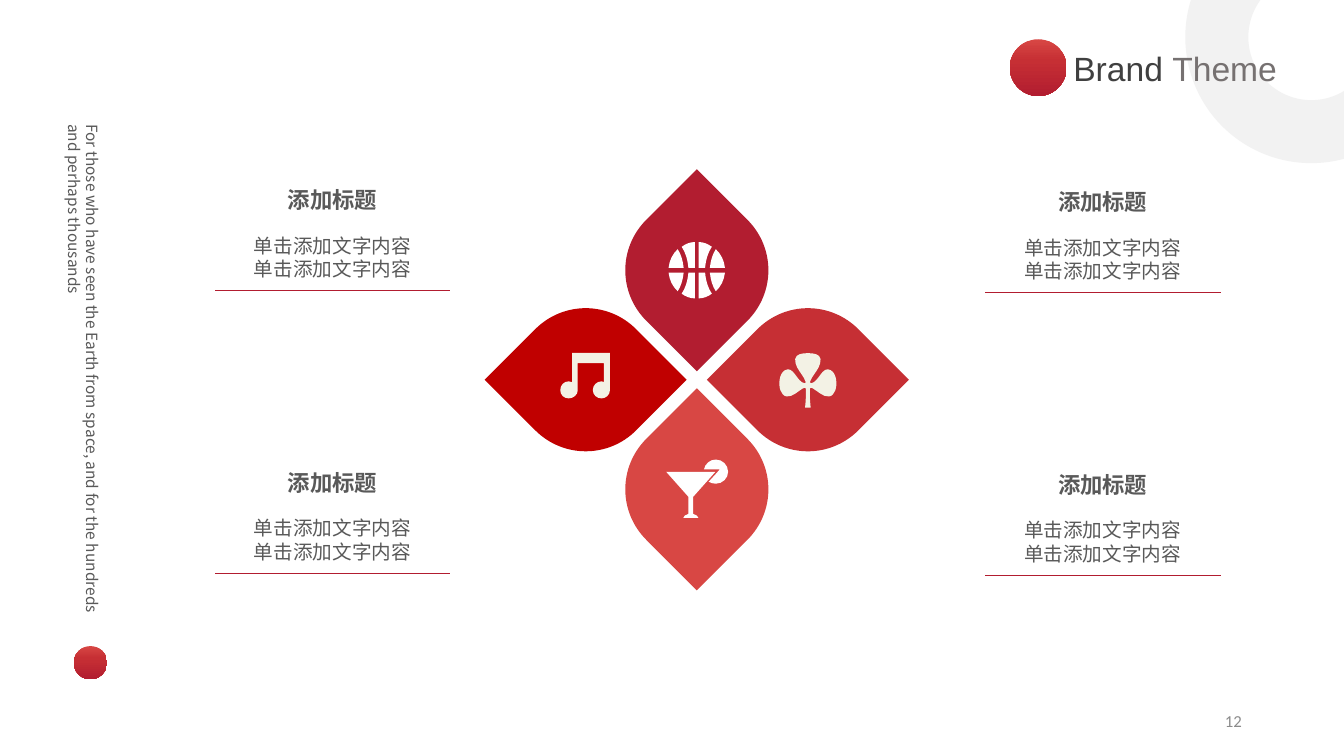
from copy import deepcopy
from itertools import product

from lxml.etree import SubElement
from pptx import Presentation
from pptx.dml.color import RGBColor
from pptx.enum.shapes import MSO_CONNECTOR as CONNECTOR, MSO_SHAPE as SHAPE
from pptx.enum.text import MSO_ANCHOR as ANCHOR, PP_ALIGN as ALIGN
from pptx.oxml.ns import qn
from pptx.util import Cm, Pt

CRIMSON = RGBColor(0xB2, 0x1D, 0x30)
RED = RGBColor(0xC6, 0x2F, 0x34)
DEEP_RED = RGBColor(0xC0, 0x00, 0x00)
CORAL = RGBColor(0xD8, 0x47, 0x44)
WHITE = RGBColor(0xFF, 0xFF, 0xFF)
IVORY = RGBColor(0xF3, 0xF2, 0xE5)
PALE_GRAY = RGBColor(0xF2, 0xF2, 0xF2)
GRAY = RGBColor(0x59, 0x59, 0x59)
PAGE_GRAY = RGBColor(0x8C, 0x8C, 0x8C)
DARK_GRAY = RGBColor(0x40, 0x40, 0x40)
WARM_GRAY = RGBColor(0x76, 0x71, 0x71)
CJK_FONT = "Noto Sans CJK SC"

CENTER_X, CENTER_Y = 17.56, 9.57
REACH_X, REACH_Y = 2.8, 2.76

PETAL = [(1.8, -1.8), (1.8, 0), (1.8, 1, 1, 1.8, 0, 1.8), (-1.8, 1.8), (-1.8, 0),
         (-1.8, -1, -1, -1.8, 0, -1.8)]
BALL_PANELS = [
    [(0.05, -0.71), (0.05, -0.06), (0.21, -0.06), (0.23, -0.28, 0.29, -0.46, 0.38, -0.59),
     (0.29, -0.66, 0.17, -0.71, 0.05, -0.71)],
    [(0.48, -0.53), (0.4, -0.41, 0.35, -0.25, 0.33, -0.06), (0.71, -0.06),
     (0.69, -0.25, 0.61, -0.41, 0.48, -0.53)],
]
CLOVER_HALF = [
    (0, -0.67), (0.15, -0.67, 0.3, -0.65, 0.32, -0.52), (0.33, -0.37, 0.23, -0.24, 0.16, -0.14),
    (0.12, -0.09, 0.08, -0.01, 0.06, 0.04), (0.05, 0.06, 0.06, 0.09, 0.08, 0.09),
    (0.28, 0.06, 0.36, -0.37, 0.58, -0.24), (0.74, -0.14, 0.74, 0.14, 0.69, 0.27),
    (0.66, 0.34, 0.61, 0.42, 0.53, 0.42), (0.39, 0.44, 0.25, 0.29, 0.13, 0.22),
    (0.1, 0.2, 0.06, 0.19, 0.05, 0.22), (0.05, 0.24, 0.04, 0.4, 0.07, 0.7), (0, 0.7),
]
NOTES = [
    (-0.43, 0.47), (-0.31, 0.47, -0.2, 0.38, -0.2, 0.27), (-0.2, -0.42), (0.46, -0.42),
    (0.46, 0.06), (0.44, 0.04, 0.42, 0.04, 0.4, 0.04), (0.28, 0.04, 0.18, 0.14, 0.18, 0.26),
    (0.18, 0.38, 0.28, 0.47, 0.4, 0.47), (0.51, 0.47, 0.61, 0.38, 0.61, 0.27),
    (0.61, -0.68), (-0.34, -0.68), (-0.34, 0.06), (-0.37, 0.04, -0.4, 0.04, -0.43, 0.04),
    (-0.55, 0.04, -0.64, 0.14, -0.64, 0.26), (-0.64, 0.38, -0.55, 0.47, -0.43, 0.47),
]
GLASS_HALF = [(0, -0.44), (0.62, -0.44), (0.06, 0.19), (0.06, 0.62),
              (0.13, 0.64, 0.19, 0.68, 0.19, 0.72), (0, 0.72)]
CITRUS = [
    (0.3, -0.19), (0.35, -0.16, 0.42, -0.14, 0.48, -0.14), (0.65, -0.14, 0.79, -0.28, 0.79, -0.44),
    (0.79, -0.61, 0.65, -0.75, 0.48, -0.75), (0.33, -0.75, 0.21, -0.64, 0.18, -0.5),
    (0.58, -0.5), (0.51, -0.42),
]


def pairs(step):
    return list(zip(step[::2], step[1::2]))


def flip(steps, sx, sy):
    return [tuple(v for x, y in pairs(step) for v in (sx * x, sy * y)) for step in steps]


def mirror(half):
    other = flip(half, -1, 1)
    back = []
    for before, step in zip(other[-2::-1], other[:0:-1]):
        controls = pairs(step)[:-1]
        back.append(tuple(v for point in controls[::-1] for v in point) + before[-2:])
    return half + back


def paint(shape, color):
    shape.shadow.inherit = False
    shape.fill.solid()
    shape.fill.fore_color.rgb = color
    shape.line.fill.background()


def add_outline(slide, x, y, steps, color):
    corners = [(Cm(x + step[-2]), Cm(y + step[-1])) for step in steps]
    builder = slide.shapes.build_freeform(*corners[0])
    builder.add_line_segments(corners[1:], close=True)
    outline = builder.convert_to_shape()
    paint(outline, color)
    segments = list(outline._element.iter(qn("a:lnTo")))
    for segment, step in zip(segments, steps[1:]):
        if len(step) == 6:
            segment.tag = qn("a:cubicBezTo")
            segment.remove(segment[0])
            for dx, dy in pairs(step):
                SubElement(segment, qn("a:pt"), x=str(Cm(x + dx) - outline.left),
                           y=str(Cm(y + dy) - outline.top))
    return outline


def add_petal(slide, x, y, color, turn):
    add_outline(slide, x, y, PETAL, color).rotation = turn


def add_ball(slide, x, y):
    for panel, sx, sy in product(BALL_PANELS, (1, -1), (1, -1)):
        add_outline(slide, x, y, flip(panel, sx, sy), WHITE)


def add_cocktail(slide, x, y):
    add_outline(slide, x, y, CITRUS, WHITE)
    add_outline(slide, x - 0.15, y, mirror(GLASS_HALF), WHITE)


def add_flower(slide):
    top, bottom = CENTER_Y - REACH_Y, CENTER_Y + REACH_Y
    left, right = CENTER_X - REACH_X, CENTER_X + REACH_X
    add_petal(slide, CENTER_X, top, CRIMSON, 135)
    add_petal(slide, right, CENTER_Y, RED, 45)
    add_petal(slide, left, CENTER_Y, DEEP_RED, 45)
    add_petal(slide, CENTER_X, bottom, CORAL, 135)
    add_cocktail(slide, CENTER_X, bottom)
    add_outline(slide, right, CENTER_Y, mirror(CLOVER_HALF), IVORY)
    add_outline(slide, left, CENTER_Y, NOTES, IVORY)
    add_ball(slide, CENTER_X, top)


def add_gradient_disc(slide, left, top, size):
    disc = slide.shapes.add_shape(SHAPE.OVAL, Cm(left), Cm(top), Cm(size), Cm(size))
    paint(disc, CORAL)
    disc.fill.gradient()
    disc.fill.gradient_angle = 270
    stop_list = next(disc._element.spPr.iter(qn("a:gsLst")))
    stop_list.append(deepcopy(stop_list[0]))
    shades = [(0, CORAL), (0.37, RED), (1, CRIMSON)]
    for stop, (position, color) in zip(disc.fill.gradient_stops, shades):
        stop.position = position
        stop.color.rgb = color


def add_text(slide, box, lines, size, color, font=CJK_FONT, bold=False, align=ALIGN.LEFT,
             anchor=ANCHOR.TOP):
    label = slide.shapes.add_textbox(*map(Cm, box))
    frame = label.text_frame
    frame.word_wrap = True
    frame.vertical_anchor = anchor
    frame.text = "\n".join(lines)
    for paragraph in frame.paragraphs:
        paragraph.alignment = align
        paragraph.font.size = Pt(size)
        paragraph.font.bold = bold
        paragraph.font.color.rgb = color
        paragraph.font.name = font
        if font == CJK_FONT:
            SubElement(paragraph.font._element, qn("a:ea"), typeface=font)
    return label


def add_entry(slide, left, top):
    add_text(slide, (left, top, 5.92, 0.94), ["添加标题"], 16, GRAY, bold=True, align=ALIGN.CENTER)
    add_text(slide, (left, top + 1.19, 5.92, 1.45), ["单击添加文字内容"] * 2, 14, GRAY,
             align=ALIGN.CENTER)
    rule_y = Cm(top + 2.75)
    rule = slide.shapes.add_connector(CONNECTOR.STRAIGHT, Cm(left), rule_y, Cm(left + 5.93), rule_y)
    rule.line.color.rgb = CRIMSON
    rule.line.width = Pt(0.5)
    SubElement(rule._element.spPr, qn("a:effectLst"))


def add_brand(slide):
    add_gradient_disc(slide, 25.45, 0.99, 1.43)
    brand = add_text(slide, (27.05, 1.21, 6.38, 1.02), ["Brand "], 24, DARK_GRAY, font="Arial",
                     anchor=ANCHOR.MIDDLE)
    frame = brand.text_frame
    frame.margin_left = frame.margin_right = frame.margin_top = frame.margin_bottom = 0
    second_word = frame.paragraphs[0].add_run()
    second_word.text = "Theme"
    second_word.font.color.rgb = WARM_GRAY


def main():
    deck = Presentation()
    deck.slide_width, deck.slide_height = Cm(33.87), Cm(19.05)
    slide = deck.slides.add_slide(deck.slide_layouts[6])
    add_text(slide, (23.93, 17.65, 7.62, 1.02), ["12"], 12, PAGE_GRAY, font="Calibri",
             align=ALIGN.RIGHT, anchor=ANCHOR.MIDDLE)
    ring = slide.shapes.add_shape(SHAPE.BLOCK_ARC, Cm(29.87), Cm(-2.24), Cm(6.35), Cm(6.35))
    ring.rotation = 230.7
    paint(ring, PALE_GRAY)
    add_gradient_disc(slide, 1.86, 16.28, 0.84)
    quote = add_text(slide, (-4.45, 8.84, 13.11, 1.19),
                     ["For those who have seen the Earth from space, "
                      "and for the hundreds and perhaps thousands"], 11, GRAY)
    quote.rotation = 90
    add_flower(slide)
    for left, first_top in ((24.83, 4.62), (5.42, 4.57)):
        for row in range(2):
            add_entry(slide, left, first_top + row * 7.12)
    add_brand(slide)
    deck.save("out.pptx")


if __name__ == "__main__":
    main()
